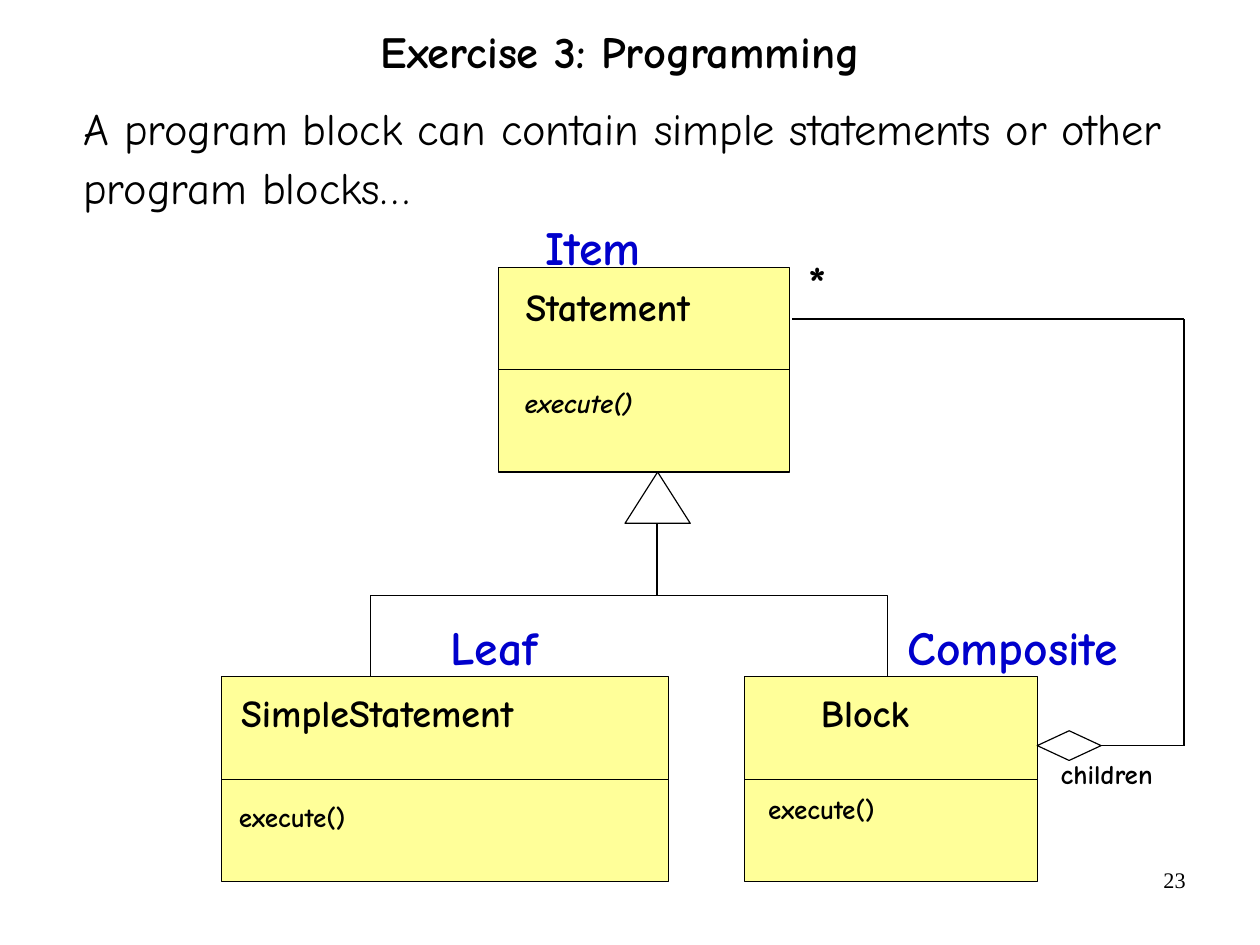
from pptx import Presentation
from pptx.dml.color import RGBColor
from pptx.enum.shapes import MSO_CONNECTOR, MSO_SHAPE
from pptx.enum.text import MSO_ANCHOR, MSO_AUTO_SIZE as AutoSize, PP_ALIGN as Align
from pptx.oxml.ns import qn
from pptx.util import Cm, Pt

FONT = "Comic Neue"
BLACK, BLUE, YELLOW = "000000", "0000CC", "FFFF99"
CLASS_HEIGHT = 4.55


def color(hex_code):
    return RGBColor.from_string(hex_code)


def place(shape, left, top, width, height):
    shape.left, shape.top = Cm(left), Cm(top)
    shape.width, shape.height = Cm(width), Cm(height)


def set_margins(frame, horizontal, vertical):
    frame.margin_left = frame.margin_right = Cm(horizontal)
    frame.margin_top = frame.margin_bottom = Cm(vertical)


def write(frame, text, size, hex_code=BLACK, bold=True, italic=False,
          font=FONT, align=Align.LEFT, spacing=0.9, after=10.9):
    frame.text = text
    para = frame.paragraphs[0]
    para.alignment, para.line_spacing = align, spacing
    para.space_before, para.space_after = Pt(0), Pt(after)
    span = para.runs[0].font
    span.name, span.size = font, Pt(size)
    span.bold, span.italic = bold, italic
    span.color.rgb = color(hex_code)


def add_label(slide, text, left, top, width, height, size, **style):
    label = slide.shapes.add_textbox(Cm(left), Cm(top), Cm(width), Cm(height))
    frame = label.text_frame
    frame.word_wrap = False
    frame.auto_size = AutoSize.SHAPE_TO_FIT_TEXT
    set_margins(frame, 0.28, 0.15)
    write(frame, text, size, **style)


def outline(shape, fill=None):
    shape.shadow.inherit = False
    shape.line.color.rgb = color(BLACK)
    shape.line.width = Pt(0.75)
    if fill:
        shape.fill.solid()
        shape.fill.fore_color.rgb = color(fill)
    else:
        shape.fill.background()


def add_symbol(slide, kind, left, top, width, height, fill=None):
    symbol = slide.shapes.add_shape(kind, Cm(left), Cm(top), Cm(width), Cm(height))
    outline(symbol, fill)
    return symbol


def add_line(slide, x1=0, y1=0, x2=0, y2=0):
    line = slide.shapes.add_connector(
        MSO_CONNECTOR.STRAIGHT, Cm(x1), Cm(y1), Cm(x2), Cm(y2))
    line.line.color.rgb = color(BLACK)
    line.line.width = Pt(0.75)
    properties = line._element.spPr
    properties.append(properties.makeelement(qn("a:effectLst"), {}))
    return line


def add_heading(slide, left, top, width):
    # Title
    title = slide.shapes.title
    place(title, left + 2.26, top, width - 6.3, 2.34)
    frame = title.text_frame
    frame.vertical_anchor = MSO_ANCHOR.MIDDLE
    frame.auto_size = AutoSize.NONE
    set_margins(frame, 0, 0)
    write(frame, "Exercise 3: Programming", 28, align=Align.CENTER,
          spacing=0.88, after=0)

    # Introductory sentence, without a bullet
    body = slide.placeholders[1]
    place(body, left, top + 1.98, width, 2.82)
    frame = body.text_frame
    frame.auto_size = AutoSize.NONE
    write(frame, "A program block can contain simple statements or other "
          "program blocks…", 28, bold=False, spacing=1.1)
    properties = frame.paragraphs[0]._p.get_or_add_pPr()
    properties.set("marL", "0")
    properties.set("indent", "0")
    properties.append(properties.makeelement(qn("a:buNone"), {}))


def add_class(slide, left, top, width, name, method, role, italic=False):
    """Name, method and role are label text, offset x, offset y, label width."""
    box = add_symbol(slide, MSO_SHAPE.RECTANGLE, left, top, width, CLASS_HEIGHT, YELLOW)
    divider = add_line(slide)
    divider.begin_connect(box, 1)
    divider.end_connect(box, 3)
    for (text, dx, dy, label_width), height, size, style in (
            (name, 1.19, 24, {}),
            (method, 0.94, 17, {"italic": italic}),
            (role, 1.45, 30, {"hex_code": BLUE})):
        add_label(slide, text, left + dx, top + dy, label_width, height, size, **style)


def add_inheritance(slide, left, top, width):
    # Triangle under the parent class, with its stem
    bar, bottom, center = top + 2.74, top + 4.53, left + 6.37
    add_symbol(slide, MSO_SHAPE.ISOSCELES_TRIANGLE, center - 0.71, top, 1.45, 1.14)
    add_line(slide, center, top + 1.14, center, bar)

    # Bracket down to both child classes
    builder = slide.shapes.build_freeform(Cm(left), Cm(bottom))
    right = left + width
    builder.add_line_segments(
        [(Cm(x), Cm(y)) for x, y in ((left, bar), (right, bar), (right, bottom))],
        close=False)
    outline(builder.convert_to_shape())


def add_aggregation(slide, left, top, right, bottom, diamond_left):
    # Diamond on the composite, joined back to the parent class
    diamond = add_symbol(slide, MSO_SHAPE.DIAMOND, diamond_left, bottom - 0.33, 1.42, 0.66)
    add_line(slide, left, top, right, top)
    add_line(slide, right, top, right, bottom)
    add_line(slide, right, bottom).end_connect(diamond, 3)

    # Multiplicity and role
    add_label(slide, "*", left + 0.08, top - 1.48, 1.12, 1.42, 30)
    add_label(slide, "children", diamond_left + 0.24, bottom + 0.2, 2.82, 0.94, 17)


def add_page_number(slide, left, top, width, height):
    box = slide.shapes.add_textbox(Cm(left), Cm(top), Cm(width), Cm(height))
    box.text_frame.word_wrap = True
    write(box.text_frame, "23", 14, bold=False, font="Times New Roman",
          align=Align.RIGHT, spacing=1.0, after=0)


def main():
    deck = Presentation()
    deck.slide_width, deck.slide_height = Cm(28), Cm(21)
    slide = deck.slides.add_slide(deck.slide_layouts[1])

    add_heading(slide, 1.6, 0.03, 26.14)

    # Class diagram
    add_class(slide, 11.07, 5.94, 6.48, ("Statement", 0.33, 0.33, 4.85),
              ("execute()", 0.31, 2.59, 3.25), ("Item", 0.77, -1.11, 3.07), italic=True)
    add_class(slide, 4.93, 15.04, 9.92, ("SimpleStatement", 0.15, 0.25, 7.49),
              ("execute()", 0.1, 2.69, 3.25), ("Leaf", 4.8, -1.32, 2.9))
    add_class(slide, 16.54, 15.04, 6.52, ("Block", 1.42, 0.25, 2.67),
              ("execute()", 0.25, 2.51, 3.25), ("Composite", 3.35, -1.32, 5.66))
    add_inheritance(slide, 8.23, 10.49, 11.5)
    add_aggregation(slide, 17.6, 7.09, 26.31, 16.57, 23.05)

    add_page_number(slide, 20.07, 19.13, 6.53, 1.45)
    deck.save("out.pptx")


if __name__ == "__main__":
    main()
